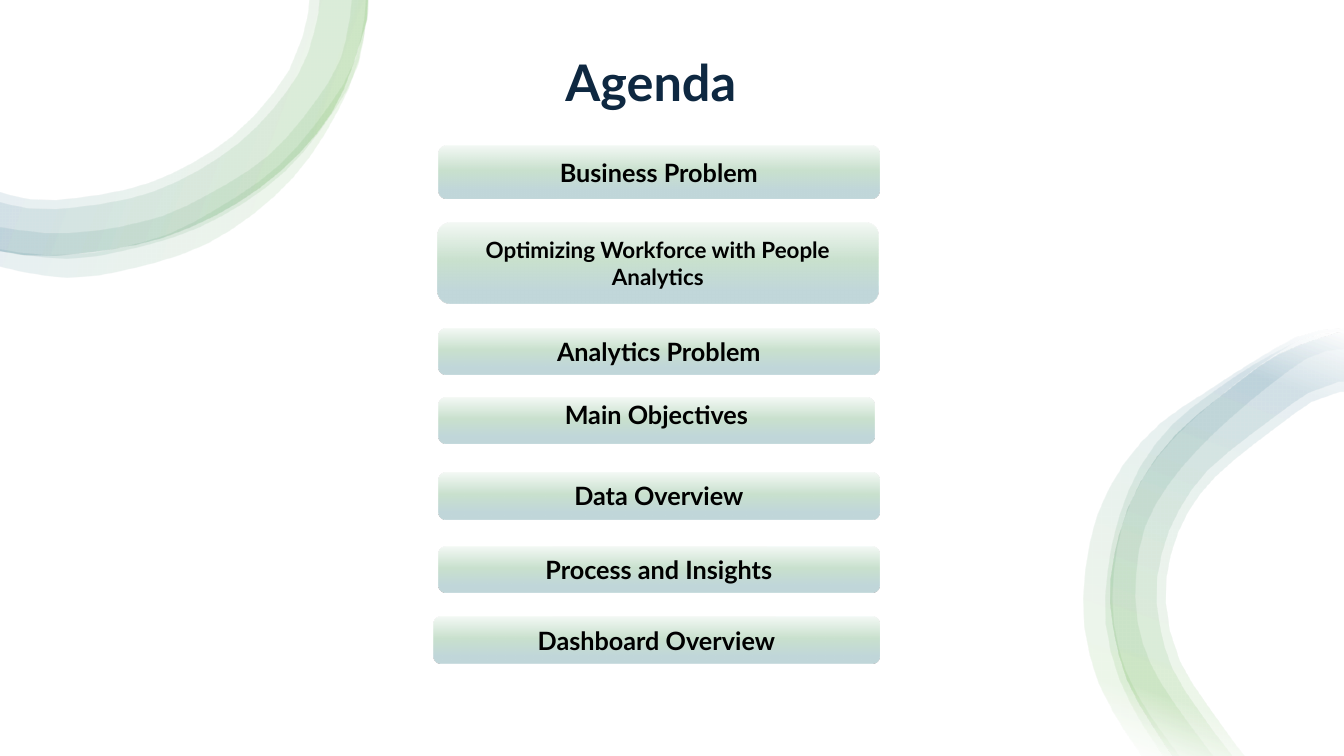
from math import dist

from lxml import etree
from pptx import Presentation
from pptx.dml.color import RGBColor
from pptx.enum.shapes import MSO_SHAPE as Shape
from pptx.enum.text import MSO_ANCHOR as Anchor, PP_ALIGN as Align
from pptx.oxml.ns import qn
from pptx.util import Inches, Pt

WHITE = RGBColor(0xFF, 0xFF, 0xFF)
BLACK = RGBColor(0, 0, 0)
NAVY = RGBColor(0x0E, 0x28, 0x41)
GREEN = RGBColor(0x4E, 0xA7, 0x2E)
TEAL = RGBColor(0x15, 0x60, 0x82)
MINT = RGBColor(0xC9, 0xE1, 0xCE)
MIST = RGBColor(0xC1, 0xD7, 0xDA)
FONT = "Lato"
WIDTH, HEIGHT = 13.33, 7.5
CHORD = 0.25

TITLE = "Agenda"
AGENDA = [
    {"text": "Business Problem", "top": 1.45, "height": 0.52},
    {"text": "Optimizing Workforce with People Analytics",
     "top": 2.21, "height": 0.8, "left": 4.34, "size": 16},
    {"text": "Analytics Problem", "top": 3.26},
    {"text": "Main Objectives", "top": 3.94, "width": 4.32, "lift": 0.12},
    {"text": "Data Overview", "top": 4.69},
    {"text": "Process and Insights", "top": 5.42},
    {"text": "Dashboard Overview", "top": 6.12, "left": 4.3, "width": 4.42},
]
PILL = {"left": 4.35, "width": 4.37, "height": 0.46, "size": 18, "lift": 0}

PILL_STOPS = [(0, MINT, 20), (47, MINT, 100), (83, MIST, 100), (100, MIST, 100)]
RIBBON_STOPS = [(2, WHITE, 10), (16, GREEN, 10), (85, TEAL, 10), (100, WHITE, 10)]

LEFT_RIM = [(3.64, 0), (3.63, 0.2), (3.28, 1.12), (2.57, 1.86), (1.62, 2.35),
            (0.56, 2.53), (0.05, 2.49), (0, 2.48)]
LEFT_BANDS = [
    (LEFT_RIM,
     [(0, 1.9), (0.15, 1.94), (0.56, 1.98), (1.48, 1.81), (2.3, 1.35),
      (2.86, 0.7), (3.05, 0.13), (3.06, 0)]),
    (LEFT_RIM,
     [(0, 2), (0.13, 2.03), (0.56, 2.07), (1.51, 1.9), (2.36, 1.42),
      (2.95, 0.74), (3.15, 0.14), (3.16, 0)]),
    ([(3.64, 0), (3.59, 0.43), (3.43, 0.9), (2.82, 1.7), (1.96, 2.26),
      (0.96, 2.54), (0.44, 2.55), (0, 2.49)],
     [(0, 2.25), (0.45, 2.31), (0.93, 2.29), (1.4, 2.2), (1.85, 2.04),
      (2.66, 1.54), (3.25, 0.82), (3.42, 0.4), (3.48, 0)]),
    ([(3.66, 0), (3.65, 0.14), (3.46, 0.88), (2.91, 1.76), (2.05, 2.42),
      (0.99, 2.73), (0.43, 2.73), (0, 2.64)],
     [(0, 2.47), (0.45, 2.53), (0.96, 2.5), (1.46, 2.39), (1.93, 2.2),
      (2.77, 1.64), (3.4, 0.85), (3.58, 0.38), (3.63, 0)]),
]

RIGHT_RIM = [(13.33, 3.3), (13.27, 3.3), (12.67, 3.52), (12.13, 3.91),
             (11.66, 4.31), (11.31, 4.78), (11.09, 5.33), (11.01, 5.98),
             (11.17, 6.73), (11.54, 7.37), (11.63, 7.5)]
RIGHT_BANDS = [
    ([(13.33, 3.26), (13.09, 3.28), (12.84, 3.35), (12.39, 3.61),
      (11.96, 3.89), (11.52, 4.19), (11.15, 4.6), (10.89, 5.1),
      (10.77, 5.65), (10.76, 6.22), (10.9, 6.78), (11.17, 7.27), (11.33, 7.5)],
     [(11.7, 7.5), (11.41, 7.1), (11.17, 6.66), (11.05, 6.18), (11.05, 5.68),
      (11.14, 5.19), (11.34, 4.74), (11.65, 4.34), (12.02, 4), (12.43, 3.67),
      (12.85, 3.39), (13.09, 3.31), (13.33, 3.29)]),
    ([(13.33, 3.3), (13.1, 3.32), (12.88, 3.38), (12.43, 3.62), (12.03, 3.89),
      (11.63, 4.21), (11.31, 4.63), (11.1, 5.13), (10.99, 5.65),
      (10.97, 6.19), (11.1, 6.73), (11.34, 7.2), (11.54, 7.5)],
     [(12.03, 7.5), (11.65, 6.98), (11.41, 6.58), (11.28, 6.15), (11.27, 5.68),
      (11.36, 5.22), (11.58, 4.82), (11.87, 4.47), (12.2, 4.15), (12.58, 3.83),
      (12.95, 3.56), (13.16, 3.48), (13.33, 3.46)]),
    (RIGHT_RIM,
     [(12.22, 7.5), (12.03, 7.25), (11.62, 6.62), (11.47, 5.98), (11.52, 5.49),
      (11.69, 5.06), (11.97, 4.67), (12.39, 4.32), (12.63, 4.14), (12.97, 3.9),
      (13.27, 3.79), (13.33, 3.79)]),
    (RIGHT_RIM,
     [(12.34, 7.5), (12.11, 7.19), (11.7, 6.56), (11.56, 5.98), (11.61, 5.5),
      (11.78, 5.08), (12.05, 4.73), (12.44, 4.4), (12.68, 4.22), (13, 3.99),
      (13.28, 3.89), (13.33, 3.89)]),
]
RIBBONS = [(LEFT_BANDS, 200), (RIGHT_BANDS, 290)]


def smooth_edge(nodes):
    padded = [nodes[0], *nodes, nodes[-1]]
    points = [nodes[0]]
    for before, start, end, after in zip(padded, padded[1:], padded[2:], padded[3:]):
        steps = max(1, round(dist(start, end) / CHORD))
        for step in range(1, steps + 1):
            t = step / steps
            points.append(tuple(
                b + ((c - a) * t + (2 * a - 5 * b + 4 * c - d) * t ** 2
                     + (3 * b - a - 3 * c + d) * t ** 3) / 2
                for a, b, c, d in zip(before, start, end, after)))
    return points


def fill_gradient(shape, stops, angle):
    shape.shadow.inherit = False
    shape.line.fill.background()
    shape.fill.gradient()
    gradient = shape._element.spPr.find(qn("a:gradFill"))
    for child in list(gradient):
        gradient.remove(child)
    stop_list = etree.SubElement(gradient, qn("a:gsLst"))
    for position, color, opacity in stops:
        stop = etree.SubElement(stop_list, qn("a:gs"), pos=str(position * 1000))
        tint = etree.SubElement(stop, qn("a:srgbClr"), val=str(color))
        if opacity < 100:
            etree.SubElement(tint, qn("a:alpha"), val=str(opacity * 1000))
    etree.SubElement(gradient, qn("a:lin"), ang=str(angle * 60000), scaled="0")


def write_text(shape, text, size, color):
    frame = shape.text_frame
    frame.word_wrap = True
    para = frame.paragraphs[0]
    para.text = text
    para.alignment = Align.CENTER
    para.font.name, para.font.size, para.font.bold = FONT, Pt(size), True
    para.font.color.rgb = color
    return frame


def add_band(slide, outer, inner, angle):
    points = [(Inches(x), Inches(y)) for x, y in smooth_edge(outer) + smooth_edge(inner)]
    builder = slide.shapes.build_freeform(*points[0])
    builder.add_line_segments(points[1:], close=True)
    fill_gradient(builder.convert_to_shape(), RIBBON_STOPS, angle)


def add_pill(slide, entry):
    item = {**PILL, **entry}
    place = [Inches(item[key]) for key in ("left", "top", "width", "height")]
    pill = slide.shapes.add_shape(Shape.ROUNDED_RECTANGLE, *place)
    fill_gradient(pill, PILL_STOPS, 90)
    frame = write_text(pill, item["text"], item["size"], BLACK)
    frame.vertical_anchor = Anchor.MIDDLE
    frame.margin_top, frame.margin_bottom = 0, Inches(item["lift"])


def main():
    deck = Presentation()
    deck.slide_width, deck.slide_height = Inches(WIDTH), Inches(HEIGHT)
    slide = deck.slides.add_slide(deck.slide_layouts[5])

    title = slide.shapes.title
    title.left, title.top = Inches(1.08), Inches(0.46)
    title.width, title.height = Inches(10.75), Inches(0.71)
    frame = write_text(title, TITLE, 36, NAVY)
    frame.vertical_anchor = Anchor.BOTTOM
    frame.paragraphs[0].line_spacing = 0.9

    backdrop = slide.shapes.add_shape(Shape.RECTANGLE, 0, 0, deck.slide_width, deck.slide_height)
    backdrop.shadow.inherit = False
    backdrop.fill.solid()
    backdrop.fill.fore_color.rgb = WHITE
    backdrop.line.fill.background()
    title._element.addprevious(backdrop._element)

    for bands, angle in RIBBONS:
        for outer, inner in bands:
            add_band(slide, outer, inner, angle)
    for entry in AGENDA:
        add_pill(slide, entry)
    deck.save("out.pptx")


if __name__ == "__main__":
    main()
